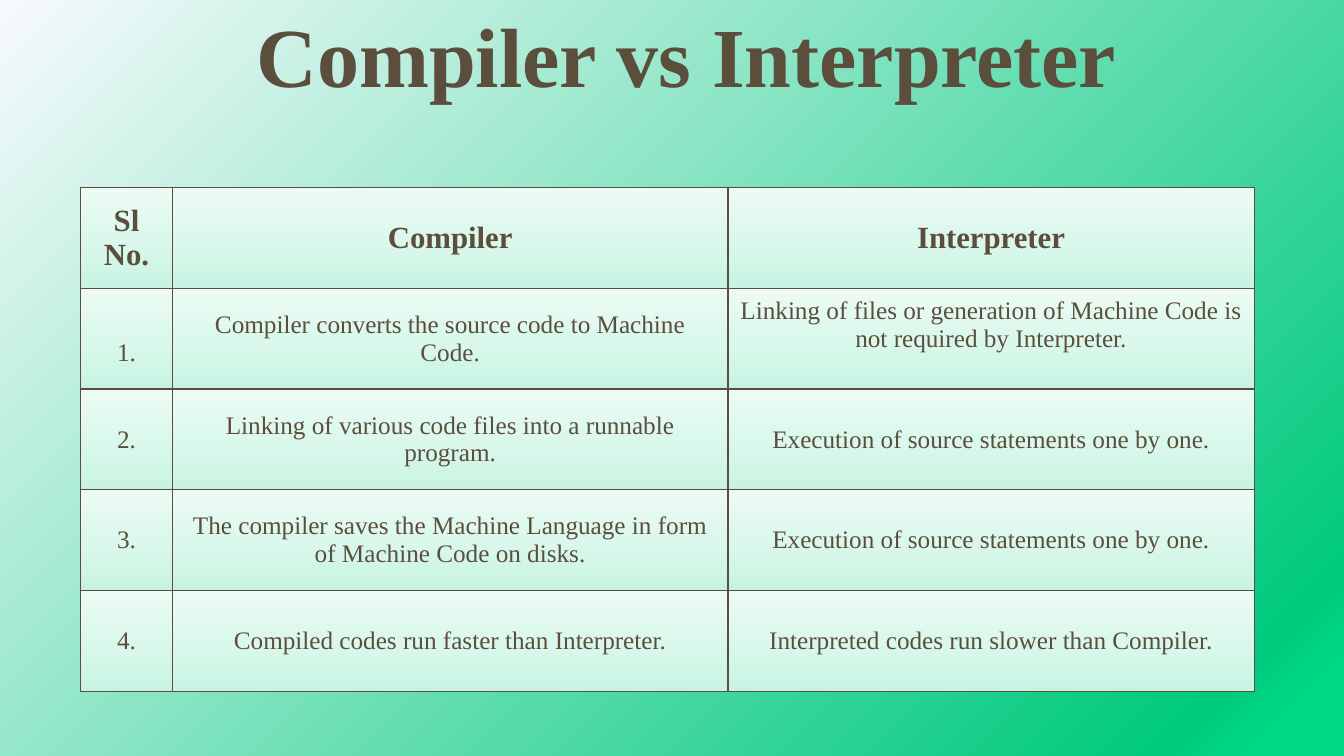
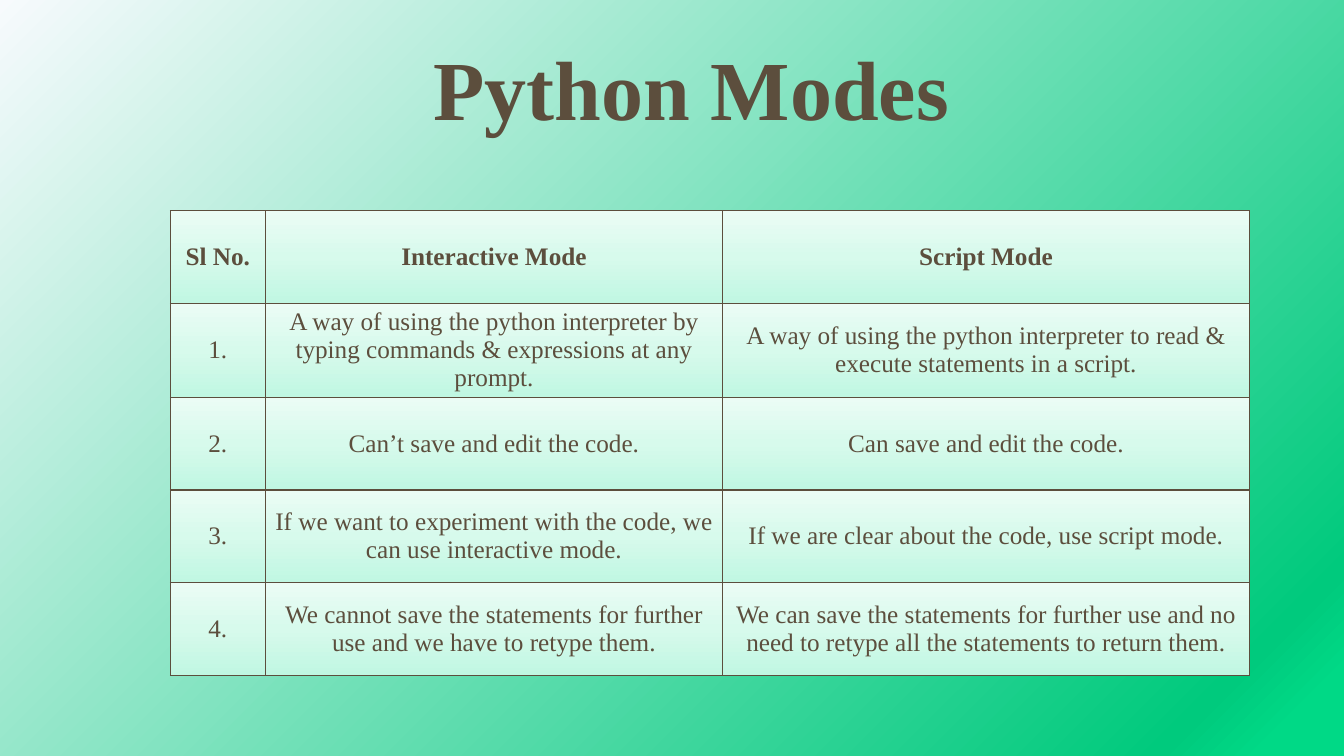
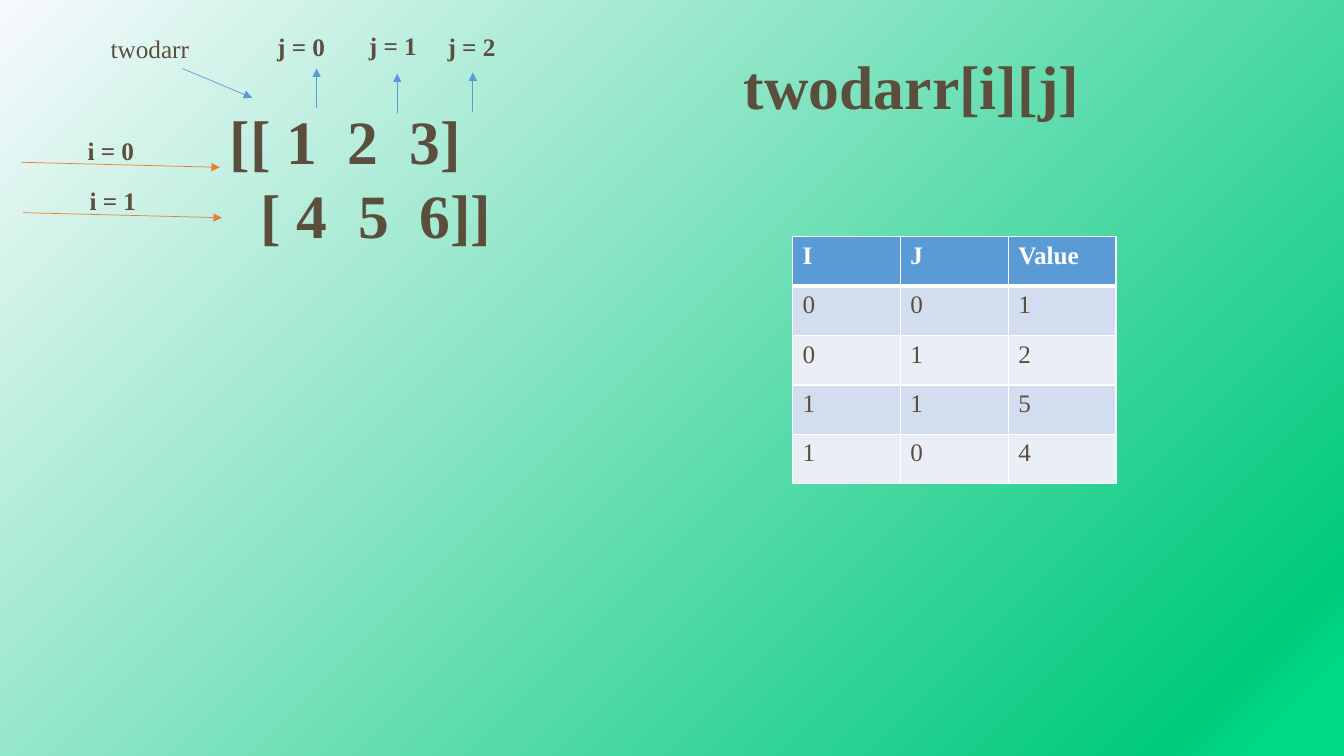
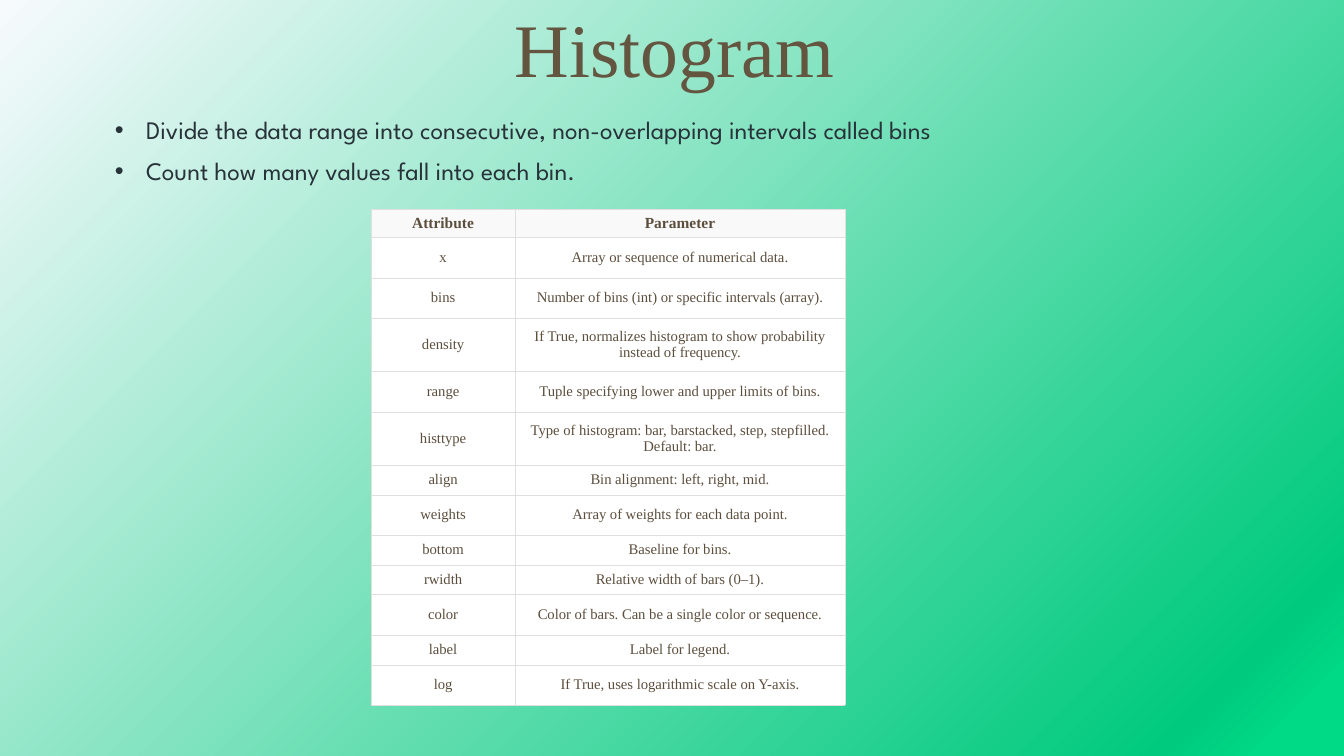
from dataclasses import dataclass

from lxml import etree
from pptx import Presentation
from pptx.dml.color import RGBColor
from pptx.enum.shapes import MSO_CONNECTOR
from pptx.enum.text import MSO_ANCHOR, MSO_AUTO_SIZE, PP_ALIGN
from pptx.oxml.ns import qn
from pptx.util import Inches, Pt

CENTER = PP_ALIGN.CENTER
LEFT = PP_ALIGN.LEFT
TOP = MSO_ANCHOR.TOP
MIDDLE = MSO_ANCHOR.MIDDLE
BOTTOM = MSO_ANCHOR.BOTTOM
NO_FIT = MSO_AUTO_SIZE.NONE
STRAIGHT = MSO_CONNECTOR.STRAIGHT
TITLE_ONLY, BLANK = 5, 6


@dataclass(frozen=True)
class Theme:
    font: str = "Times New Roman"
    bullet_font: str = "League Spartan"
    brown: str = "5C4E3D"
    light_brown: str = "635540"
    slate: str = "273239"
    white: str = "FFFFFF"
    blue: str = "5B9BD5"
    orange: str = "ED7D31"
    band_dark: str = "D2DEEF"
    band_light: str = "EAEFF7"
    header_gray: str = "F9F9F9"
    border_gray: str = "DFDFDF"
    background: tuple = ((0, "F7FAFD"), (91, "00CA7D"), (96, "00D986"), (100, "00D986"))
    mint: tuple = ((0, "C7F4E2"), (50, "DBF8EC"), (100, "EDFBF5"))
    bright_mint: tuple = ((0, "C0F7E2"), (50, "D7FAEC"), (100, "EBFCF5"))
    title_size: float = 60
    subtitle_size: float = 54
    code_size: float = 44
    header_size: float = 22
    body_size: float = 18
    small_header_size: float = 11
    small_size: float = 10.5


THEME = Theme()


def set_gradient(fill, owner, stops, angle):
    fill.gradient()
    fill.gradient_angle = angle
    stop_list = owner.find(".//" + qn("a:gsLst"))
    for stop in list(stop_list):
        stop_list.remove(stop)
    for position, color in stops:
        stop = etree.SubElement(stop_list, qn("a:gs"), pos=str(position * 1000))
        etree.SubElement(stop, qn("a:srgbClr"), val=color)


def set_bullet(paragraph, indent):
    properties = paragraph._p.get_or_add_pPr()
    properties.set("marL", str(indent))
    properties.set("indent", str(-indent))
    etree.SubElement(properties, qn("a:buFont"), typeface="Arial")
    etree.SubElement(properties, qn("a:buChar"), char="•")


def write_text(frame, text, size=THEME.body_size, color=THEME.brown, font=THEME.font,
               bold=False, align=LEFT, anchor=TOP, line_spacing=1.0, gap=0, bullet=None):
    frame.word_wrap = True
    frame.vertical_anchor = anchor
    for index, line in enumerate(text.split("\n")):
        paragraph = frame.add_paragraph() if index else frame.paragraphs[0]
        if bullet:
            set_bullet(paragraph, bullet)
        paragraph.alignment = align
        paragraph.line_spacing = line_spacing
        paragraph.space_before = Pt(gap if index else 0)
        run = paragraph.add_run()
        run.text = line
        run.font.name = font
        run.font.size = Pt(size)
        run.font.bold = bold
        run.font.color.rgb = RGBColor.from_string(color)


def set_borders(cell, color, widths):
    properties = cell._tc.get_or_add_tcPr()
    for index, (side, width) in enumerate(zip("LRTB", widths)):
        line = etree.Element(qn(f"a:ln{side}"), w=str(Pt(width)))
        fill = etree.SubElement(line, qn("a:solidFill"))
        etree.SubElement(fill, qn("a:srgbClr"), val=color)
        properties.insert(index, line)


def numbered(header, pairs):
    return [("Sl No.", *header)] + [(f"{number}.", *pair) for number, pair in enumerate(pairs, 1)]


class Deck:
    def __init__(self, theme):
        self.theme = theme
        self.presentation = Presentation()
        self.presentation.slide_width = Inches(13.33)
        self.presentation.slide_height = Inches(7.5)
        master = self.presentation.slide_master
        set_gradient(master.background.fill, master.element, theme.background, 315)
        self.slide = None

    def add_slide(self, layout):
        self.slide = self.presentation.slides.add_slide(self.presentation.slide_layouts[layout])

    def title_slide(self, text, left, top, width, height, **text_format):
        self.add_slide(TITLE_ONLY)
        title = self.slide.shapes.title
        title.left, title.top = Inches(left), Inches(top)
        title.width, title.height = Inches(width), Inches(height)
        title.text_frame.auto_size = NO_FIT
        write_text(title.text_frame, text, align=CENTER, anchor=BOTTOM, line_spacing=0.9,
                   **text_format)

    def text(self, text, left, top, width, height, **text_format):
        box = self.slide.shapes.add_textbox(Inches(left), Inches(top), Inches(width), Inches(height))
        write_text(box.text_frame, text, **text_format)

    def arrow(self, start_x, start_y, end_x, end_y, color):
        connector = self.slide.shapes.add_connector(
            STRAIGHT, Inches(start_x), Inches(start_y), Inches(end_x), Inches(end_y))
        connector.line.color.rgb = RGBColor.from_string(color)
        connector.line.width = Pt(0.5)
        etree.SubElement(connector.line._ln, qn("a:tailEnd"), type="triangle")
        etree.SubElement(connector._element.spPr, qn("a:effectLst"))

    def table(self, rows, left, top, columns, heights, fills, border, header, body,
              border_width=1, header_rule=None, margins=None, header_margins=None):
        header_rule = header_rule or border_width
        frame = self.slide.shapes.add_table(
            len(rows), len(columns), Inches(left), Inches(top),
            Inches(sum(columns)), Inches(sum(heights)))
        table = frame.table
        table.first_row = table.horz_banding = False
        for column, width in zip(table.columns, columns):
            column.width = Inches(width)
        for row_index, (row, height, texts) in enumerate(zip(table.rows, heights, rows)):
            row.height = Inches(height)
            fill = fills[0] if row_index == 0 else fills[1 + (row_index - 1) % (len(fills) - 1)]
            top_rule = header_rule if row_index == 1 else border_width
            bottom_rule = header_rule if row_index == 0 else border_width
            row_margins = margins if row_index else header_margins
            for cell, text in zip(row.cells, texts):
                if isinstance(fill, tuple):
                    set_gradient(cell.fill, cell._tc, fill, 90)
                else:
                    cell.fill.solid()
                    cell.fill.fore_color.rgb = RGBColor.from_string(fill)
                set_borders(cell, border, (border_width, border_width, top_rule, bottom_rule))
                if row_margins:
                    side, end = row_margins
                    cell.margin_left = cell.margin_right = Inches(side)
                    cell.margin_top = cell.margin_bottom = Inches(end)
                text_format = body if row_index else header
                cell.vertical_anchor = text_format["anchor"]
                write_text(cell.text_frame, text, **text_format)
        return table


def compiler_slide(deck):
    theme = deck.theme
    deck.title_slide("Compiler vs Interpreter", 1.81, 0, 10, 1.1, size=theme.title_size, bold=True)
    rows = numbered(("Compiler", "Interpreter"), [
        ("Compiler converts the source code to Machine Code.",
         "Linking of files or generation of Machine Code is not required by Interpreter."),
        ("Linking of various code files into a runnable program.",
         "Execution of source statements one by one."),
        ("The compiler saves the Machine Language in form of Machine Code on disks.",
         "Execution of source statements one by one."),
        ("Compiled codes run faster than Interpreter.",
         "Interpreted codes run slower than Compiler."),
    ])
    centered = dict(align=CENTER, anchor=MIDDLE)
    table = deck.table(rows, 0.8, 1.86, (0.91, 5.51, 5.22), [1] * len(rows),
                       (theme.mint, theme.mint), theme.brown,
                       dict(centered, size=theme.header_size, bold=True), centered)
    table.cell(1, 0).margin_top = Inches(0.33)
    table.cell(1, 2).margin_bottom = Inches(0.33)


def modes_slide(deck):
    theme = deck.theme
    deck.title_slide("Python Modes", 3.2, 0.38, 7.31, 1.05, size=theme.title_size, bold=True)
    rows = numbered(("Interactive Mode", "Script Mode"), [
        ("A way of using the python interpreter by typing commands & expressions at any prompt.",
         "A way of using the python interpreter to read & execute statements in a script."),
        ("Can’t save and edit the code.", "Can save and edit the code."),
        ("If we want to experiment with the code, we can use interactive mode.",
         "If we are clear about the code, use script mode."),
        ("We cannot save the statements for further use and we have to retype them.",
         "We can save the statements for further use and no need to retype all the statements "
         "to return them."),
    ])
    centered = dict(align=CENTER, anchor=MIDDLE)
    deck.table(rows, 1.69, 2.09, (0.94, 4.54, 5.22), [0.92] * len(rows),
               (theme.bright_mint, theme.bright_mint), theme.brown,
               dict(centered, bold=True), centered)


def array_slide(deck):
    theme = deck.theme
    deck.add_slide(BLANK)
    code = dict(size=theme.code_size, bold=True)
    deck.text("[[ 1  2  3]\n  [ 4  5  6]]", 2.18, 0.97, 7.64, 2.32, **code)
    deck.text("twodarr[i][j]", 7.28, 0.43, 5.33, 0.84, **code)
    deck.text("twodarr", 1, 0.28, 2.73, 0.4)
    deck.arrow(1.81, 0.68, 2.5, 0.97, theme.blue)
    for index in range(2):
        left, top = 0.21 + 0.02 * index, 1.61 + 0.5 * index
        deck.arrow(left, top, left + 1.97, top + 0.05, theme.orange)
        deck.text(f"i = {index}", left + 0.56, top - 0.32, 0.79, 0.4, bold=True)
    column_marks = ((2.65, 0.26, 3.14, 0.68), (3.56, 0.25, 3.94, 0.73), (4.34, 0.26, 4.69, 0.72))
    for index, (left, top, arrow_x, arrow_top) in enumerate(column_marks):
        deck.text(f"j = {index}", left, top, 0.79, 0.4, bold=True)
        deck.arrow(arrow_x, arrow_top + 0.39, arrow_x, arrow_top, theme.blue)
    rows = ["I J Value".split(), *("001", "012", "115", "104")]
    deck.table(rows, 7.86, 2.35, [1.07] * 3, [0.49] * len(rows),
               (theme.blue, theme.band_dark, theme.band_light), theme.white,
               dict(anchor=TOP, color=theme.white, bold=True), dict(anchor=TOP), header_rule=3)


def histogram_slide(deck):
    theme = deck.theme
    deck.title_slide("Histogram", 2.94, -0.01, 7.5, 0.99, size=theme.subtitle_size,
                     color=theme.light_brown)
    deck.text("Divide the data range into consecutive, non-overlapping intervals called bins\n"
              "Count how many values fall into each bin.", 1.04, 1.12, 10.68, 0.82,
              font=theme.bullet_font, color=theme.slate, line_spacing=0.9, gap=10,
              bullet=Inches(0.31))
    rows = [
        ("Attribute", "Parameter"),
        ("x", "Array or sequence of numerical data."),
        ("bins", "Number of bins (int) or specific intervals (array)."),
        ("density", "If True, normalizes histogram to show probability instead of frequency."),
        ("range", "Tuple specifying lower and upper limits of bins."),
        ("histtype", "Type of histogram: bar, barstacked, step, stepfilled. Default: bar."),
        ("align", "Bin alignment: left, right, mid."),
        ("weights", "Array of weights for each data point."),
        ("bottom", "Baseline for bins."),
        ("rwidth", "Relative width of bars (0–1)."),
        ("color", "Color of bars. Can be a single color or sequence."),
        ("label", "Label for legend."),
        ("log", "If True, uses logarithmic scale on Y-axis."),
    ]
    low, medium, tall = 0.26, 0.4, 0.53
    heights = (0.24, medium, medium, tall, medium, tall, low, medium, low, low, medium, low, medium)
    centered = dict(align=CENTER, anchor=MIDDLE)
    deck.table(rows, 3.68, 2.07, (1.43, 3.27), heights, (theme.header_gray, theme.white),
               theme.border_gray, dict(centered, size=theme.small_header_size, bold=True),
               dict(centered, size=theme.small_size), border_width=0.15,
               margins=(0.05, 0.06), header_margins=(0.05, 0.05))


def main():
    deck = Deck(THEME)
    for build in (compiler_slide, modes_slide, array_slide, histogram_slide):
        build(deck)
    deck.presentation.save("out.pptx")


if __name__ == "__main__":
    main()
